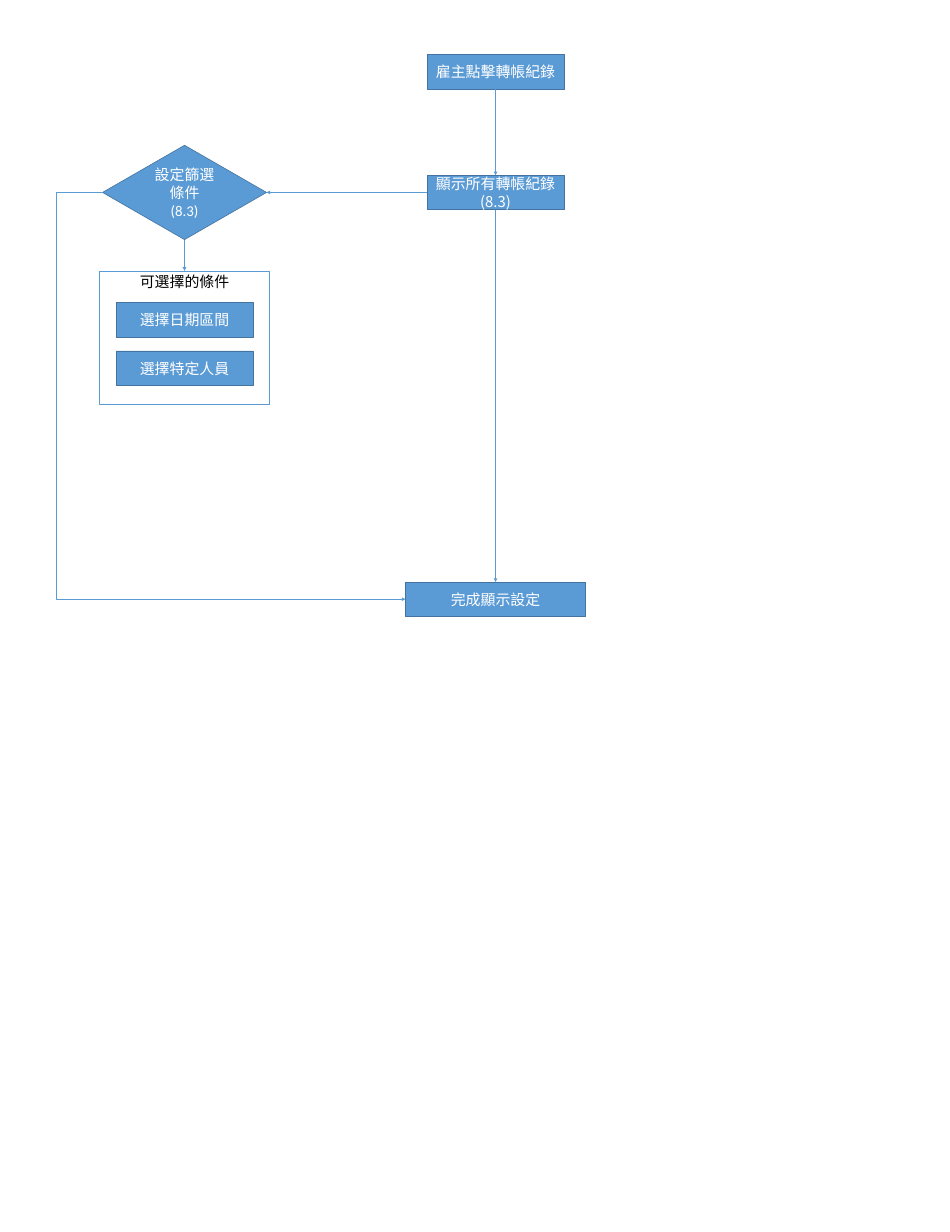
from lxml import etree
from pptx import Presentation
from pptx.dml.color import RGBColor
from pptx.enum.shapes import MSO_CONNECTOR as Link, MSO_SHAPE as Shape
from pptx.enum.text import MSO_ANCHOR as Anchor, PP_ALIGN as Align
from pptx.oxml.ns import qn
from pptx.util import Inches, Pt

BLUE = RGBColor(0x5B, 0x9B, 0xD5)
DARK_BLUE = RGBColor(0x43, 0x73, 0x9E)
WHITE = RGBColor(0xFF, 0xFF, 0xFF)
BLACK = RGBColor(0, 0, 0)
CJK_FONT = "Noto Sans CJK SC"

# Connection sites, shared by rectangles and diamonds
TOP, LEFT, BOTTOM, RIGHT = range(4)

prs = Presentation()
prs.slide_width, prs.slide_height = Inches(21.26), Inches(27.56)
slide = prs.slides.add_slide(prs.slide_layouts[6])


def add_step(text, center, top, width=3.06, height=0.77, kind=Shape.RECTANGLE,
             fill=BLUE, outline=DARK_BLUE, color=WHITE, font=CJK_FONT,
             anchor=Anchor.MIDDLE):
    """Draw a flowchart step, centred on a column."""
    step = slide.shapes.add_shape(kind, Inches(center - width / 2), Inches(top),
                                  Inches(width), Inches(height))
    step.shadow.inherit = False
    step.fill.solid()
    step.fill.fore_color.rgb = fill
    step.line.color.rgb = outline
    step.line.width = Pt(1)
    frame = step.text_frame
    frame.word_wrap = True
    frame.vertical_anchor = anchor
    frame.text = text
    for paragraph in frame.paragraphs:
        paragraph.alignment = Align.CENTER
        for run in paragraph.runs:
            run.font.size = Pt(24)
            run.font.name = font
            run.font.color.rgb = color
            east_asian = etree.Element(qn("a:ea"), typeface=CJK_FONT)
            run.font._element.find(qn("a:latin")).addnext(east_asian)
    return step


def add_arrow(start, start_site, end, end_site, kind=Link.STRAIGHT):
    """Join two steps with a thin arrow."""
    arrow = slide.shapes.add_connector(kind, 0, 0, 0, 0)
    arrow.begin_connect(start, start_site)
    arrow.end_connect(end, end_site)
    arrow.line.color.rgb = BLUE
    arrow.line.width = Pt(0.5)
    etree.SubElement(arrow.line._get_or_add_ln(), qn("a:tailEnd"), type="triangle")
    etree.SubElement(arrow._element.spPr, qn("a:effectLst"))
    return arrow


# Main column
MAIN, FILTER = 11.09, 4.13
click_records = add_step("雇主點擊轉帳紀錄", MAIN, 1.22)
show_records = add_step("顯示所有轉帳紀錄\n(8.3)", MAIN, 3.92)
finish = add_step("完成顯示設定", MAIN, 13.02, width=4.03)

# Filter decision and its panel of conditions
set_filter = add_step("設定篩選條件\v(8.3)", FILTER, 3.25, width=3.67, height=2.11,
                      kind=Shape.DIAMOND, font="Calibri")
conditions = add_step("可選擇的條件", FILTER, 6.06, width=3.81, height=2.98,
                      fill=WHITE, outline=BLUE, color=BLACK, font="Calibri",
                      anchor=Anchor.TOP)
for row, option in enumerate(["選擇日期區間", "選擇特定人員"]):
    add_step(option, FILTER, 6.77 + 1.08 * row)

# Flow
add_arrow(click_records, BOTTOM, show_records, TOP)
add_arrow(show_records, LEFT, set_filter, RIGHT)
add_arrow(show_records, BOTTOM, finish, TOP)
add_arrow(set_filter, BOTTOM, conditions, TOP)

# The way back to the main column bends out to the left of the diamond
bypass = add_arrow(set_filter, LEFT, finish, LEFT, kind=Link.ELBOW)
bends = bypass._element.spPr.find(qn("a:prstGeom")).get_or_add_avLst()
etree.SubElement(bends, qn("a:gd"), name="adj1", fmla="val -15400")

prs.save("out.pptx")
